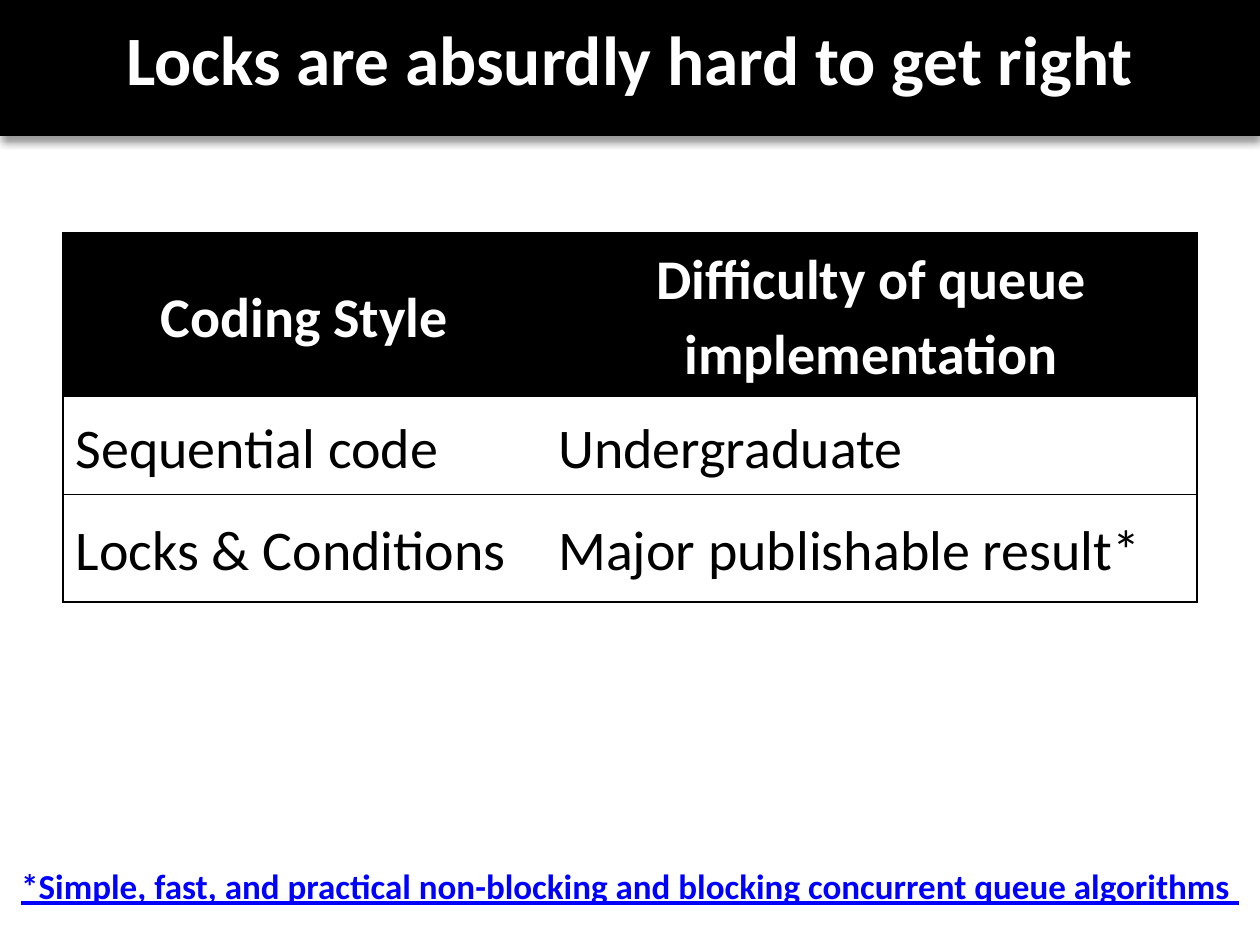
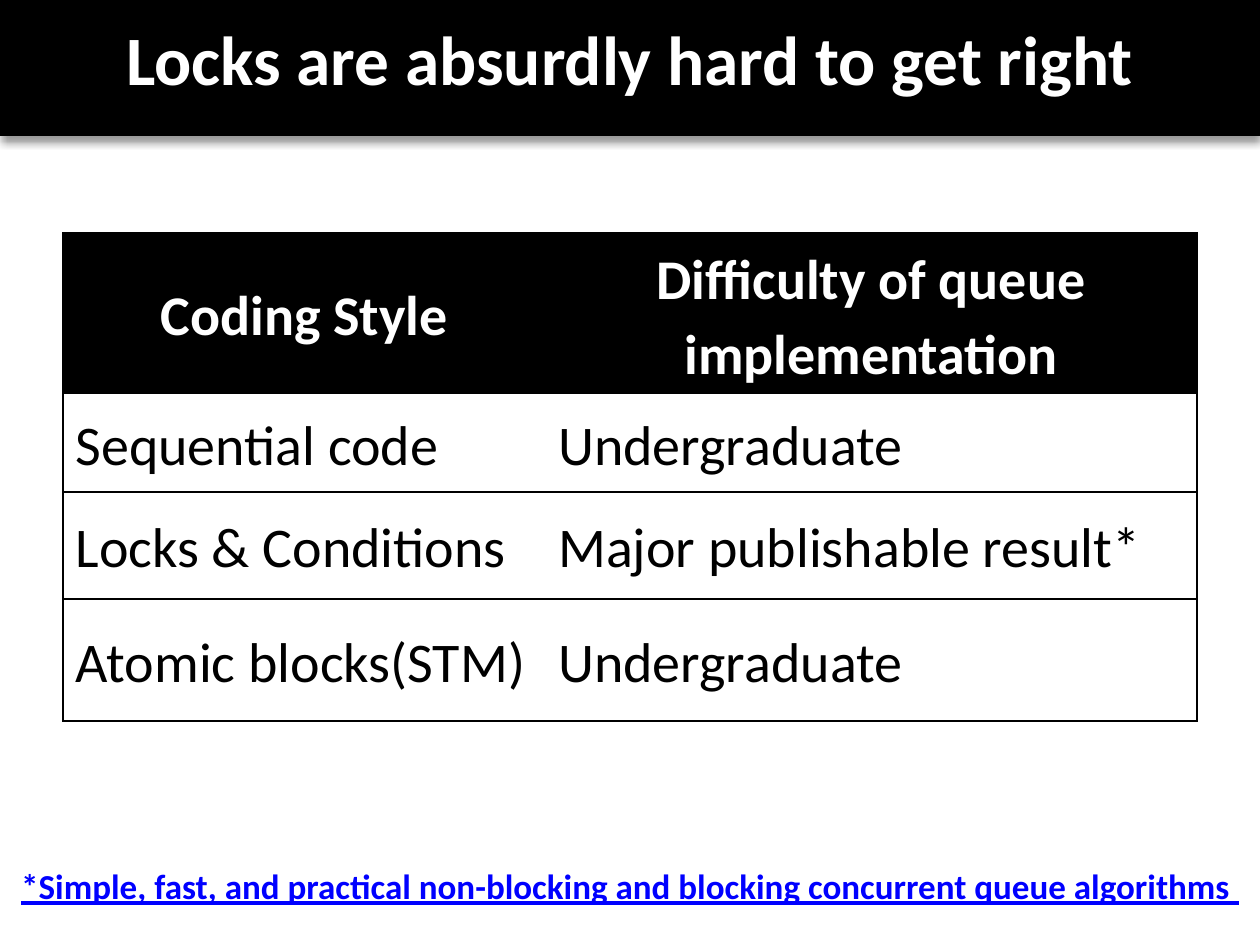
import pptx
import pptx.dml.color
import pptx.enum.shapes
import pptx.enum.text
import pptx.oxml
import pptx.oxml.ns
import pptx.util
from pptx.util import Cm, Pt

COLORS = {"black": "000000", "white": "FFFFFF", "link": "0000FF"}
FONT = "Calibri"
SLIDE_WIDTH, SLIDE_HEIGHT = Cm(25.4), Cm(19.05)
MARGIN = Cm(1.27)
COLUMN_WIDTHS = (Cm(9.73), Cm(13.13))
ROW_HEIGHTS = (Cm(2.49), Cm(1.98), Cm(2.16), Cm(2.46))
NO_STYLE = "{2D5ABB26-0587-4C30-8999-92F81FD0307C}"

TITLE = "Locks are absurdly hard to get right"
FOOTNOTE = ("*Simple, fast, and practical non-blocking and blocking "
            "concurrent queue algorithms ")
TABLE_ROWS = [
    ("Coding Style", "Difficulty of queue implementation"),
    ("Sequential code", "Undergraduate"),
    ("Locks & Conditions ", "Major publishable result*"),
    ("Atomic blocks(STM)", "Undergraduate"),
]


def rgb(name):
    """Return the named colour."""
    return pptx.dml.color.RGBColor.from_string(COLORS[name])


def xml(tag, inner, attributes=""):
    """Build one DrawingML element."""
    namespace = pptx.oxml.ns.nsdecls("a")
    return pptx.oxml.parse_xml(
        f"<a:{tag} {namespace} {attributes}>{inner}</a:{tag}>")


def style_paragraph(paragraph, size, color, bold, centered):
    """Set font and alignment of a paragraph."""
    font = paragraph.font
    font.name, font.size, font.bold = FONT, Pt(size), bold
    font.color.rgb = rgb(color)
    align = pptx.enum.text.PP_ALIGN
    paragraph.alignment = align.CENTER if centered else align.LEFT


def add_band(slide):
    """Draw the black title band with its soft shadow."""
    band = slide.shapes.add_shape(
        pptx.enum.shapes.MSO_SHAPE.RECTANGLE, 0, 0, SLIDE_WIDTH, Cm(2.74))
    band.fill.solid()
    band.fill.fore_color.rgb = rgb("black")
    band.line.fill.background()
    band.shadow.inherit = False
    effects = band._element.spPr.find(pptx.oxml.ns.qn("a:effectLst"))
    effects.append(xml(
        "outerShdw",
        f'<a:srgbClr val="{COLORS["black"]}"><a:alpha val="40000"/></a:srgbClr>',
        f'blurRad="{Pt(4)}" dist="{Pt(4)}" dir="5400000" rotWithShape="0"'))


def add_text(slide, text, left, top, width, height, size, color):
    """Add a bold centred line of text and return its paragraph."""
    frame = slide.shapes.add_textbox(left, top, width, height).text_frame
    frame.word_wrap = True
    paragraph = frame.paragraphs[0]
    paragraph.text = text
    style_paragraph(paragraph, size, color, True, True)
    return paragraph


def add_footnote(slide):
    """Add the underlined reference with a hanging indent."""
    paragraph = add_text(slide, FOOTNOTE, 0, Cm(17.3), SLIDE_WIDTH, Cm(1.12),
                         20, "link")
    paragraph.font.underline = True
    properties = paragraph._p.get_or_add_pPr()
    properties.set("marL", str(Cm(1)))
    properties.set("indent", str(-Cm(1)))


def add_borders(cell, sides):
    """Draw thin black lines on the given sides of a cell."""
    properties = cell._tc.get_or_add_tcPr()
    for side in sides:
        properties.append(xml(
            f"ln{side}",
            f'<a:solidFill><a:srgbClr val="{COLORS["black"]}"/></a:solidFill>',
            f'w="{Pt(1)}"'))


def fill_cell(cell, text, is_header, sides):
    """Write and format one table cell."""
    add_borders(cell, sides)
    cell.fill.solid()
    cell.fill.fore_color.rgb = rgb("black" if is_header else "white")
    cell.vertical_anchor = pptx.enum.text.MSO_ANCHOR.MIDDLE
    paragraph = cell.text_frame.paragraphs[0]
    paragraph.text = text
    paragraph.line_spacing = 1.1
    style_paragraph(paragraph, 32, "white" if is_header else "black",
                    is_header, is_header)


def add_comparison(slide, rows):
    """Add the table of coding styles, without inner vertical lines."""
    heights = ROW_HEIGHTS[:len(rows)]
    table = slide.shapes.add_table(
        len(rows), len(COLUMN_WIDTHS), MARGIN, Cm(4.7),
        sum(COLUMN_WIDTHS), sum(heights)).table
    table.horz_banding = False
    table._tbl.tblPr.find(pptx.oxml.ns.qn("a:tableStyleId")).text = NO_STYLE
    for column, width in zip(table.columns, COLUMN_WIDTHS):
        column.width = width
    for row_index, texts in enumerate(rows):
        table.rows[row_index].height = heights[row_index]
        for column_index, (text, sides) in enumerate(zip(texts, ("LTB", "RTB"))):
            fill_cell(table.cell(row_index, column_index), text,
                      row_index == 0, sides)


def add_slide(presentation, rows):
    """Add one slide comparing the given rows."""
    slide = presentation.slides.add_slide(presentation.slide_layouts[6])
    add_band(slide)
    add_comparison(slide, rows)
    add_footnote(slide)
    add_text(slide, TITLE, MARGIN, Cm(0.2), SLIDE_WIDTH - 2 * MARGIN, Cm(3.18),
             39.6, "white")


def main():
    """Build the table in two steps, one slide each."""
    presentation = pptx.Presentation()
    presentation.slide_width = SLIDE_WIDTH
    presentation.slide_height = SLIDE_HEIGHT
    for row_count in (3, 4):
        add_slide(presentation, TABLE_ROWS[:row_count])
    presentation.save("out.pptx")


main()
